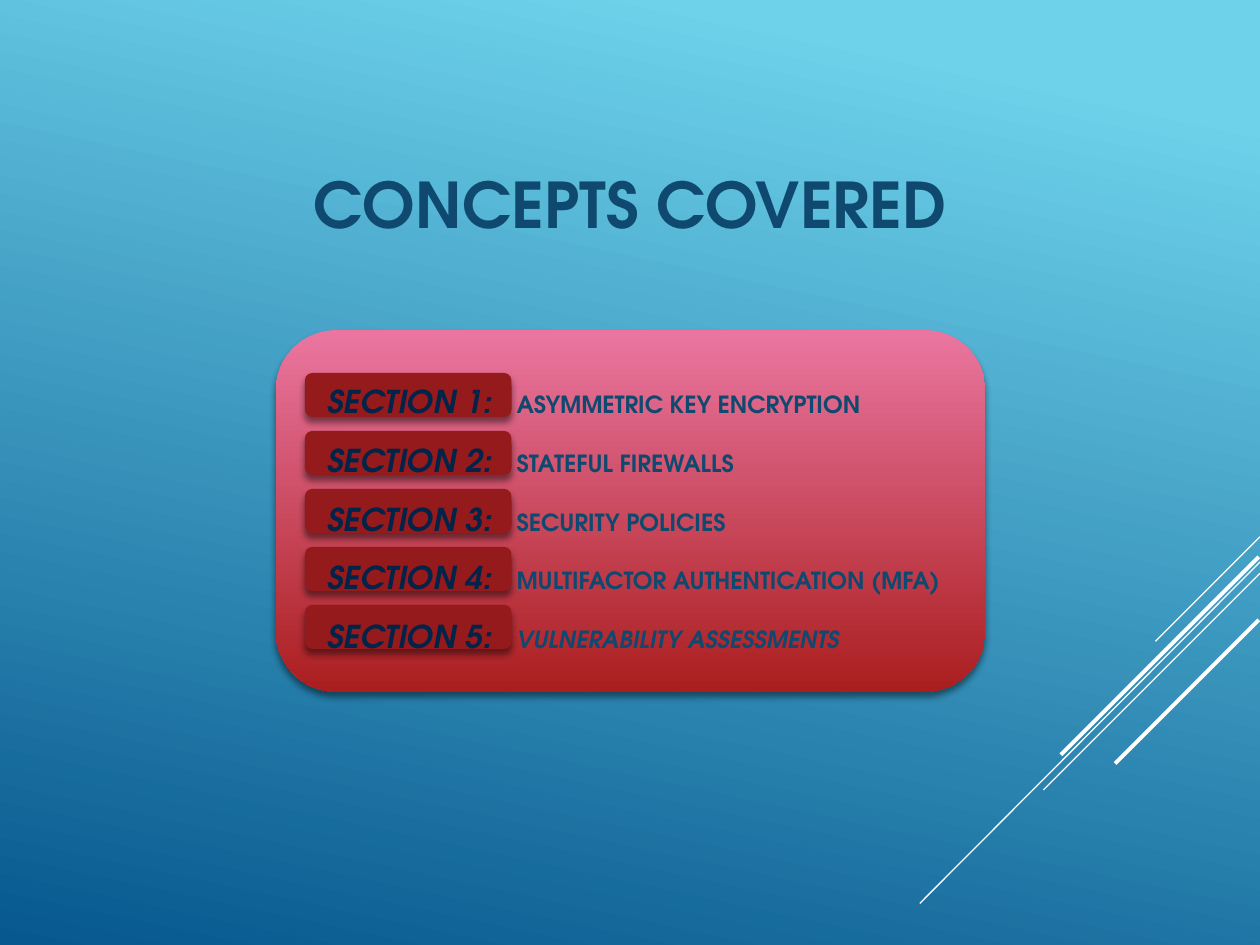
from lxml import etree
from pptx import Presentation
from pptx import util as u
from pptx.dml.color import RGBColor
from pptx.enum import shapes, text
from pptx.oxml.ns import qn

FONT = "TeX Gyre Adventor"
SKY = RGBColor(0x6E, 0xD2, 0xEB)
DEEP = RGBColor(0x06, 0x58, 0x8E)
PINK = RGBColor(0xEA, 0x76, 0xA0)
RED = RGBColor(0xAA, 0x1E, 0x1F)
DARK = RGBColor(0x94, 0x1A, 0x1B)
BLUE = RGBColor(0x0F, 0x49, 0x6F)
NAVY = RGBColor(0x04, 0x23, 0x49)
WHITE = RGBColor(0xFF, 0xFF, 0xFF)

TOPICS = [
    "ASYMMETRIC KEY ENCRYPTION",
    "STATEFUL FIREWALLS",
    "SECURITY POLICIES",
    "MULTIFACTOR AUTHENTICATION (MFA)",
    "VULNERABILITY ASSESSMENTS",
]
RAYS = [  # x1, y1, x2, y2, width in points
    (10, 4.26, 9.17, 5.09, 0.75),
    (10, 4.46, 7.3, 7.17, 0.75),
    (10, 4.55, 8.28, 6.27, 0.75),
    (9.99, 4.42, 8.42, 5.99, 2.25),
    (9.99, 4.92, 8.85, 6.06, 2.25),
]


def child(node, tag, **attrs):
    return etree.SubElement(node, qn(tag), attrs)


def blend(fill, angle, first, last, start=0):
    """Fill with two colours; the angle runs counter-clockwise."""
    fill.gradient()
    fill.gradient_angle = angle
    for stop, color, place in zip(fill.gradient_stops, (first, last), (start, 1)):
        stop.color.rgb = color
        stop.position = place


class Deck:
    def __init__(self, slide, font):
        self.slide = slide
        self.font = font

    def ray(self, x1, y1, x2, y2, width):
        line = self.slide.shapes.add_connector(
            shapes.MSO_CONNECTOR.STRAIGHT, *map(u.Inches, (x1, y1, x2, y2)))
        line.line.color.rgb = WHITE
        line.line.width = u.Pt(width)
        child(line.element.spPr, "a:effectLst")

    def card(self, *box):
        """Add a rounded rectangle with a soft shadow below it."""
        card = self.slide.shapes.add_shape(
            shapes.MSO_SHAPE.ROUNDED_RECTANGLE, *map(u.Inches, box))
        card.line.fill.background()
        effects = child(card.element.spPr, "a:effectLst")
        shadow = child(effects, "a:outerShdw", blurRad=str(u.Pt(4)),
                       dist=str(u.Pt(3)), dir="5400000", rotWithShape="0")
        color = child(shadow, "a:srgbClr", val="000000")
        child(color, "a:alpha", val="46000")
        return card

    def place(self, holder, anchor, *box):
        """Move a placeholder to the front and set its frame."""
        holder.left, holder.top, holder.width, holder.height = map(u.Inches, box)
        self.slide.shapes.element.append(holder.element)
        frame = holder.text_frame
        frame.auto_size = text.MSO_AUTO_SIZE.NONE
        frame.vertical_anchor = anchor
        frame.word_wrap = True
        return frame

    def style(self, run, size, color, italic=False):
        font = run.font
        font.name, font.size = self.font, u.Pt(size)
        font.bold, font.italic = True, italic
        font.color.rgb = color

    def title(self, words, *box):
        frame = self.place(self.slide.shapes.title, text.MSO_ANCHOR.TOP, *box)
        frame.text = words
        para = frame.paragraphs[0]
        para.alignment = text.PP_ALIGN.CENTER
        self.style(para.runs[0], 36, BLUE)

    def topics(self, items, *box):
        frame = self.place(self.slide.placeholders[1], text.MSO_ANCHOR.MIDDLE, *box)
        for i, item in enumerate(items):
            para = frame.add_paragraph() if i else frame.paragraphs[0]
            para.text = f"SECTION {i + 1}:\t"
            props = para._p.get_or_add_pPr()
            props.set("marL", "0")
            props.set("indent", "0")
            child(props, "a:buNone")
            tabs = child(props, "a:tabLst")
            child(tabs, "a:tab", pos=str(u.Inches(1.52)), algn="l")
            para.space_before = u.Pt(12 if i else 0)
            self.style(para.runs[0], 18, NAVY, True)
            run = para.add_run()
            run.text = item
            self.style(run, 13.5, BLUE, i == len(items) - 1)


def main():
    prs = Presentation()
    prs.slide_width, prs.slide_height = u.Inches(10), u.Inches(7.5)
    deck = Deck(prs.slides.add_slide(prs.slide_layouts[1]), FONT)
    blend(deck.slide.background.fill, 258, SKY, DEEP, 0.1)
    for ray in RAYS:
        deck.ray(*ray)
    panel = deck.card(2.19, 2.62, 5.63, 2.87)
    blend(panel.fill, 270, PINK, RED)
    for i in range(len(TOPICS)):
        badge = deck.card(2.42, 2.96 + 0.46 * i, 1.64, 0.35)
        badge.fill.solid()
        badge.fill.fore_color.rgb = DARK
    deck.title("CONCEPTS COVERED", 0, 1.26, 10, 1.37)
    deck.topics(TOPICS, 2.5, 1.8, 5.4, 4.63)
    prs.save("out.pptx")


if __name__ == "__main__":
    main()
